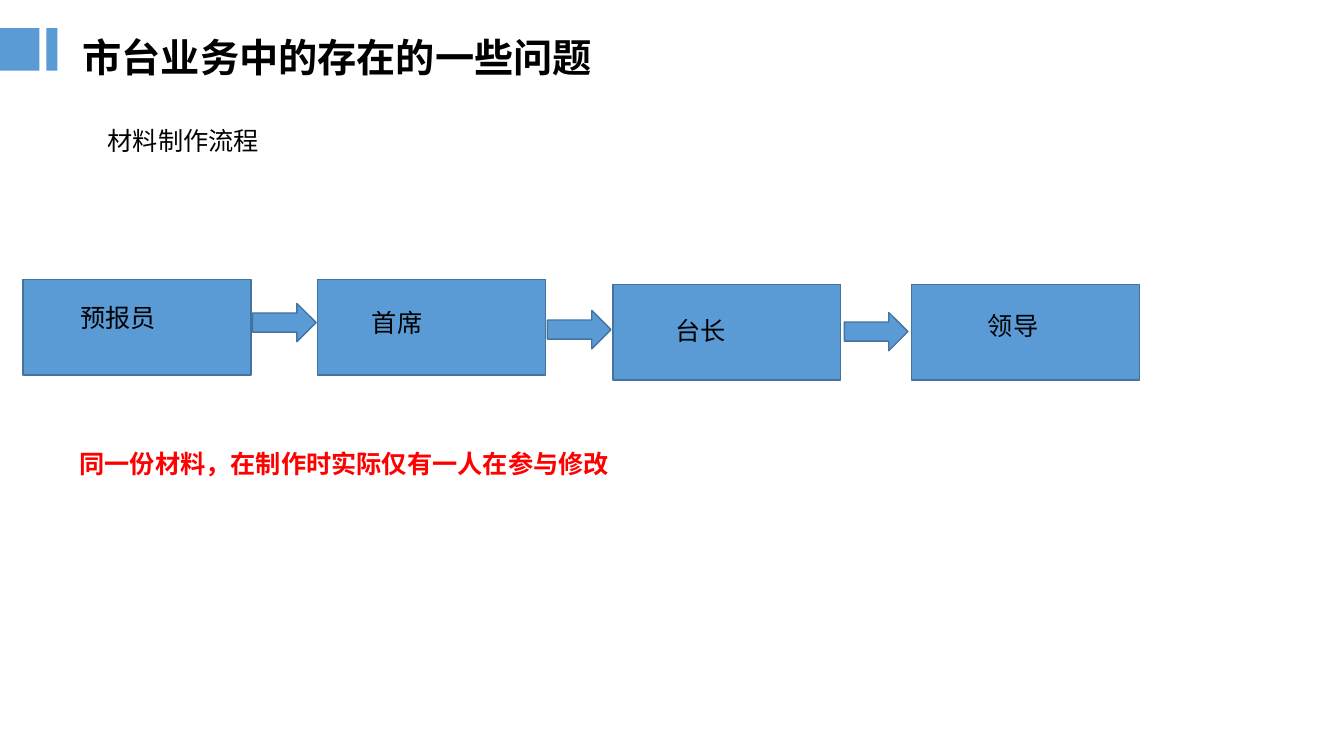
from lxml import etree
from pptx import Presentation
from pptx.dml.color import RGBColor
from pptx.enum.shapes import MSO_SHAPE
from pptx.enum.text import MSO_ANCHOR, MSO_AUTO_SIZE, PP_ALIGN
from pptx.oxml.ns import qn
from pptx.util import Inches, Pt

RECTANGLE, RIGHT_ARROW = MSO_SHAPE.RECTANGLE, MSO_SHAPE.RIGHT_ARROW
TOP, LEFT, NO_AUTOFIT = MSO_ANCHOR.TOP, PP_ALIGN.LEFT, MSO_AUTO_SIZE.NONE

BLUE = RGBColor(0x5B, 0x9B, 0xD5)
DARK_BLUE = RGBColor(0x43, 0x73, 0x9E)
BLACK = RGBColor(0, 0, 0)
RED = RGBColor(0xFF, 0, 0)
LATIN_FONT, CHINESE_FONT = "Calibri", "Noto Sans CJK SC"

STEP_WIDTH, STEP_HEIGHT = 2.26, 0.95
ARROW_WIDTH, ARROW_HEIGHT = 0.63, 0.38
LABEL_HEIGHT = 0.4

# Step name, box left and top, label offset from the box and label width
STEPS = [
    ("预报员", 0.23, 2.77, 0.47, 0.18, 1.35),
    ("首席", 3.15, 2.77, 0.44, 0.23, 1.73),
    ("台长", 6.08, 2.82, 0.52, 0.26, 1.3),
    ("领导", 9.04, 2.82, 0.66, 0.21, 1.18),
]
ARROW_TOPS = [3.01, 3.08, 3.1]


def write(frame, text, size=18, color=BLACK, bold=False, latin=LATIN_FONT):
    frame.word_wrap = True
    frame.auto_size = NO_AUTOFIT
    frame.vertical_anchor = TOP
    paragraph = frame.paragraphs[0]
    paragraph.text = text
    paragraph.alignment = LEFT
    font = paragraph.font
    font.size, font.bold, font.name = Pt(size), bold, latin
    font.color.rgb = color
    # East Asian typeface
    properties = paragraph._p.pPr.find(qn("a:defRPr"))
    etree.SubElement(properties, qn("a:ea")).set("typeface", CHINESE_FONT)


def add_text(slide, box, text, **style):
    textbox = slide.shapes.add_textbox(*map(Inches, box))
    write(textbox.text_frame, text, **style)


def add_block(slide, kind, box, outlined=True):
    block = slide.shapes.add_shape(kind, *map(Inches, box))
    block.shadow.inherit = False
    block.fill.solid()
    block.fill.fore_color.rgb = BLUE
    if outlined:
        block.line.color.rgb = DARK_BLUE
        block.line.width = Pt(1)
    else:
        block.line.fill.background()


def add_header(slide, left, top):
    # Two accent bars
    for offset, width in ((0, 0.39), (0.46, 0.11)):
        add_block(slide, RECTANGLE, (left + offset, top, width, 0.42), outlined=False)
    # Title
    title = slide.shapes.title
    title.left, title.top = Inches(left + 0.66), Inches(top)
    title.width, title.height = Inches(8.8), Inches(0.57)
    title.text_frame.margin_left = Inches(0.16)
    write(title.text_frame, "市台业务中的存在的一些问题", size=28, bold=True, latin=CHINESE_FONT)


def add_process(slide):
    # Step boxes with their labels
    for name, left, top, label_x, label_y, label_width in STEPS:
        add_block(slide, RECTANGLE, (left, top, STEP_WIDTH, STEP_HEIGHT))
        add_text(slide, (left + label_x, top + label_y, label_width, LABEL_HEIGHT), name)
    # Arrows centred in the gaps between boxes
    for step, following, top in zip(STEPS, STEPS[1:], ARROW_TOPS):
        middle = (step[1] + STEP_WIDTH + following[1]) / 2
        add_block(slide, RIGHT_ARROW,
                  (middle - ARROW_WIDTH / 2, top, ARROW_WIDTH, ARROW_HEIGHT))


def main():
    presentation = Presentation()
    presentation.slide_width, presentation.slide_height = Inches(13.33), Inches(7.5)
    slide = presentation.slides.add_slide(presentation.slide_layouts[5])
    add_header(slide, 0, 0.28)
    add_text(slide, (0.97, 1.19, 1.93, LABEL_HEIGHT), "材料制作流程")
    add_process(slide)
    # Conclusion
    add_text(slide, (0.69, 4.4, 7.52, LABEL_HEIGHT),
             "同一份材料，在制作时实际仅有一人在参与修改", color=RED, bold=True)
    presentation.save("out.pptx")


if __name__ == "__main__":
    main()
